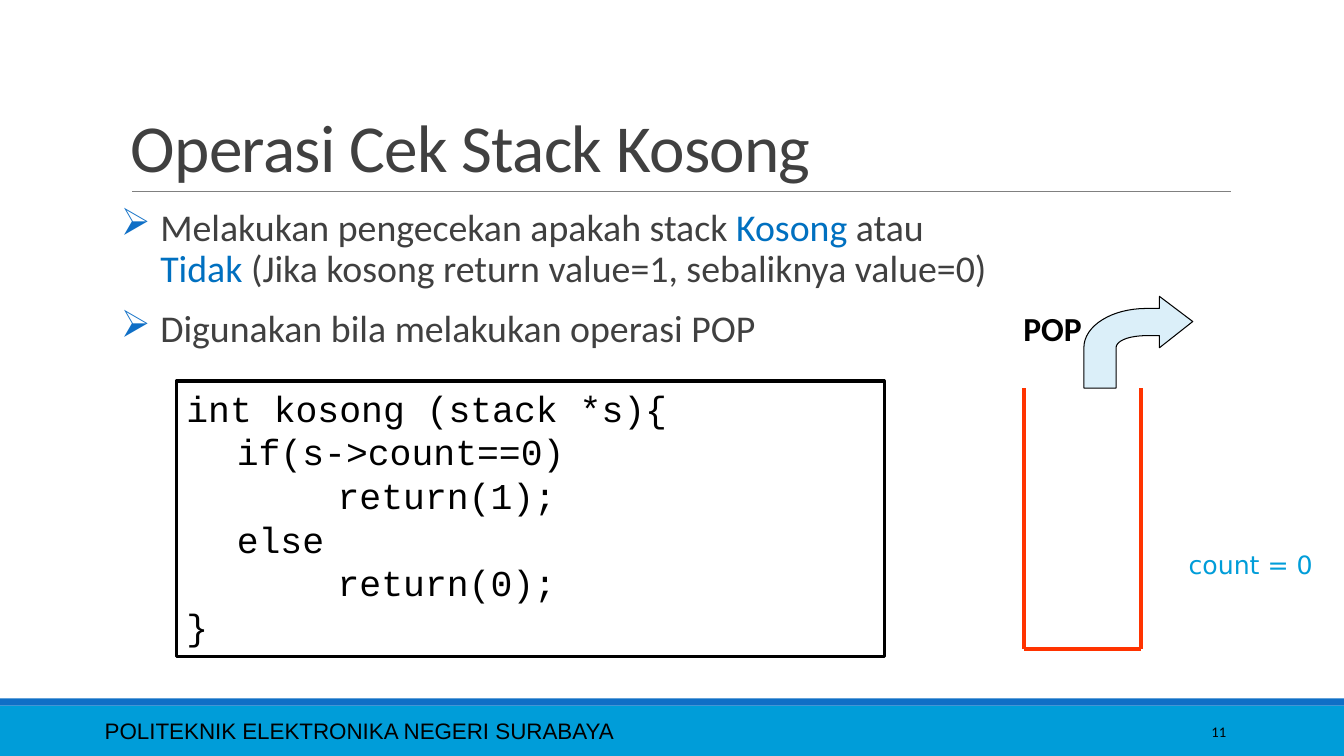
from dataclasses import dataclass

from lxml import etree
from pptx import Presentation
from pptx.dml.color import RGBColor
from pptx.enum.shapes import MSO_CONNECTOR, MSO_SHAPE
from pptx.enum.text import MSO_ANCHOR, PP_ALIGN
from pptx.oxml.ns import qn
from pptx.util import Inches, Pt

RECT = MSO_SHAPE.RECTANGLE
LINE = MSO_CONNECTOR.STRAIGHT
TOP, MID, BASE = MSO_ANCHOR.TOP, MSO_ANCHOR.MIDDLE, MSO_ANCHOR.BOTTOM
LEFT, MIDST, RIGHT = PP_ALIGN.LEFT, PP_ALIGN.CENTER, PP_ALIGN.RIGHT


@dataclass(frozen=True)
class Theme:
    """Colours, fonts and type sizes of the slide."""
    black: str = "000000"
    text: str = "404040"
    rule: str = "808080"
    blue: str = "0F6FC6"
    mark: str = "0070C0"
    cyan: str = "009DD9"
    pale: str = "DBEFF9"
    red: str = "FF3300"
    sans: str = "Calibri"
    foot: str = "Arial"
    mono: str = "Courier New"
    wide: str = "DejaVu Sans"
    title: float = 48
    body: float = 27
    code: float = 26
    label: float = 24
    count: float = 18
    small: float = 16
    page: float = 10.5


def color(code):
    """Turn a hex code into a colour."""
    return RGBColor.from_string(code)


def curve(start, one, two, end, steps=16):
    """Return points along a cubic curve, without its start."""
    points = []
    for step in range(1, steps + 1):
        t = step / steps
        u = 1 - t
        points.append(tuple(
            u**3 * a + 3 * u * u * t * b + 3 * u * t * t * c + t**3 * d
            for a, b, c, d in zip(start, one, two, end)))
    return points


class Page:
    """Draws styled elements on one slide."""

    def __init__(self, slide, theme):
        """Keep the slide and its theme."""
        self.slide = slide
        self.theme = theme

    def paint(self, shape, fill=None, line=None, width=1):
        """Set fill and outline, and drop the shadow."""
        shape.shadow.inherit = False
        if fill:
            shape.fill.solid()
            shape.fill.fore_color.rgb = color(fill)
        else:
            shape.fill.background()
        if line:
            shape.line.color.rgb = color(line)
            shape.line.width = Pt(width)
        else:
            shape.line.fill.background()

    def block(self, at, **style):
        """Add a rectangle."""
        shape = self.slide.shapes.add_shape(RECT, *map(Inches, at))
        self.paint(shape, **style)
        return shape

    def rule(self, start, end, tint, width):
        """Add a straight line."""
        line = self.slide.shapes.add_connector(
            LINE, *map(Inches, start + end))
        line.line.color.rgb = color(tint)
        line.line.width = Pt(width)
        etree.SubElement(line._element.spPr, qn("a:effectLst"))

    def shape(self, points, **style):
        """Add a closed outline."""
        first, *rest = [tuple(map(Inches, point)) for point in points]
        build = self.slide.shapes.build_freeform(*first)
        build.add_line_segments(rest, close=True)
        self.paint(build.convert_to_shape(), **style)

    def box(self, at, anchor=TOP, inset=0.1):
        """Add a wrapping text box and return its frame."""
        frame = self.slide.shapes.add_textbox(*map(Inches, at)).text_frame
        frame.word_wrap = True
        frame.vertical_anchor = anchor
        frame.margin_left = frame.margin_right = Inches(inset)
        return frame

    def para(self, frame, first, align=LEFT):
        """Return the first paragraph or add another."""
        para = frame.paragraphs[0] if first else frame.add_paragraph()
        para.alignment = align
        return para

    def run(self, para, text, size, tint, font, bold=False, track=None):
        """Add one styled run."""
        run = para.add_run()
        run.text = text
        run.font.size = Pt(size)
        run.font.name = font
        run.font.bold = bold
        run.font.color.rgb = color(tint)
        if track is not None:
            run._r.get_or_add_rPr().set("spc", str(round(track * 100)))

    def label(self, at, text, size, tint, font, anchor=TOP, align=LEFT,
              space=1.0, **style):
        """Add a text box with one line."""
        para = self.para(self.box(at, anchor), True, align)
        para.line_spacing = space
        self.run(para, text, size, tint, font, **style)

    def bullets(self, at, items):
        """Add a list whose items are runs of text and colour."""
        frame = self.box(at, inset=0)
        for index, item in enumerate(items):
            para = self.para(frame, index == 0)
            para.line_spacing = 0.9
            para.space_before = Pt(12 if index else 0)
            para.space_after = Pt(2)
            props = para._p.get_or_add_pPr()
            props.set("marL", str(Inches(0.39)))
            props.set("indent", str(-Inches(0.39)))
            tint = etree.SubElement(props, qn("a:buClr"))
            etree.SubElement(tint, qn("a:srgbClr"), val=self.theme.blue)
            etree.SubElement(props, qn("a:buChar"), char="➢")
            for text, hue in item:
                self.run(para, text, self.theme.body, hue, self.theme.sans)

    def code(self, at, lines):
        """Add a framed listing with half-inch tab stops."""
        theme = self.theme
        frame = self.block(at, line=theme.black, width=2.25).text_frame
        frame.word_wrap = True
        frame.vertical_anchor = TOP
        for index, line in enumerate(lines):
            para = self.para(frame, index == 0)
            tabs = etree.SubElement(para._p.get_or_add_pPr(), qn("a:tabLst"))
            for stop in (0.5, 1, 1.5):
                etree.SubElement(tabs, qn("a:tab"), pos=str(Inches(stop)),
                                 algn="l")
            self.run(para, line, theme.code, theme.black, theme.mono)


def main():
    """Build and save the slide."""
    deck = Presentation()
    deck.slide_width, deck.slide_height = Inches(13.33), Inches(7.5)
    theme = Theme()
    page = Page(deck.slides.add_slide(deck.slide_layouts[6]), theme)

    page.block((0, 7, 13.33, 0.5), fill=theme.cyan)
    page.block((0, 6.93, 13.33, 0.07), fill=theme.blue)
    page.rule((1.31, 1.9), (12.21, 1.9), theme.rule, 0.5)
    page.label((0.94, 7.05, 8.41, 0.4),
               "POLITEKNIK ELEKTRONIKA NEGERI SURABAYA",
               theme.small, theme.black, theme.foot, MID)
    page.label((10.83, 7.06, 1.43, 0.4), "11",
               theme.page, theme.black, theme.sans, MID, RIGHT)
    page.label((1.2, 0.31, 11, 1.59), "Operasi Cek Stack Kosong",
               theme.title, theme.text, theme.sans, BASE,
               space=0.85, track=-0.5)

    page.bullets((1.2, 2.02, 8.74, 1.66), [
        [("Melakukan pengecekan apakah stack ", theme.text),
         ("Kosong ", theme.mark), ("atau ", theme.text),
         ("Tidak ", theme.mark),
         ("(Jika kosong return value=1, sebaliknya value=0)", theme.text)],
        [("Digunakan bila melakukan operasi POP", theme.text)]])
    page.code((1.75, 3.78, 7.02, 2.73), [
        "int kosong (stack *s){", "\tif(s->count==0)", "\t\t\treturn(1);",
        "\telse", "\t\t\treturn(0);", "}"])

    stack = [(10.16, 3.85), (10.16, 6.44), (11.32, 6.44), (11.32, 3.85)]
    for start, end in zip(stack, stack[1:]):
        page.rule(start, end, theme.red, 3)
    page.label((9.98, 3.01, 0.92, 0.51), "POP", theme.label, theme.black,
               theme.sans, align=MIDST, bold=True)
    outer = curve((11.37, 3.06), (11.03, 3.06), (10.75, 3.23), (10.75, 3.45))
    inner = curve((11.07, 3.45), (11.07, 3.38), (11.2, 3.33), (11.37, 3.33))
    page.shape([(11.83, 3.19), (11.5, 2.94), (11.5, 3.06), (11.37, 3.06),
                *outer, (10.75, 3.85), (11.07, 3.85), (11.07, 3.45),
                *inner, (11.5, 3.33), (11.5, 3.45)],
               fill=theme.pale, line=theme.black, width=0.75)
    page.label((11.69, 5.4, 1.57, 0.4), "count = 0",
               theme.count, theme.cyan, theme.wide)

    deck.save("out.pptx")


if __name__ == "__main__":
    main()
